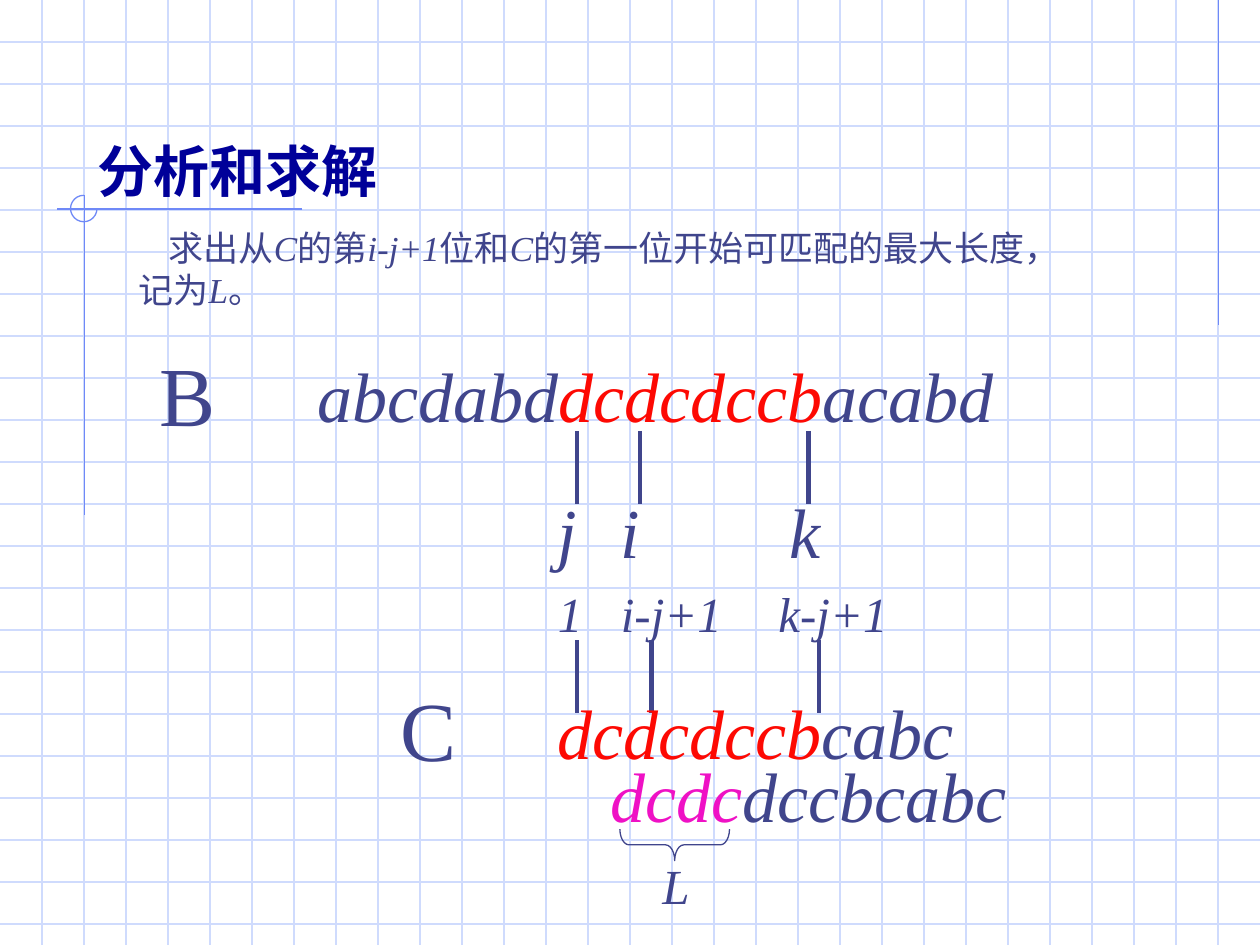
from lxml import etree
from pptx import Presentation
from pptx.dml.color import RGBColor
from pptx.enum.shapes import MSO_CONNECTOR, MSO_SHAPE
from pptx.enum.text import MSO_ANCHOR, PP_ALIGN
from pptx.oxml.ns import qn
from pptx.util import Inches, Pt

STRAIGHT = MSO_CONNECTOR.STRAIGHT
ARC, BRACE = MSO_SHAPE.ARC, MSO_SHAPE.LEFT_BRACE
TOP, BOTTOM, LEFT = MSO_ANCHOR.TOP, MSO_ANCHOR.BOTTOM, PP_ALIGN.LEFT
SERIF, SANS = "Times New Roman", "Lato"
INK, RED, PINK, NAVY = "40458C", "FD0903", "EF11C5", "000099"
GRID, RULE = "CFDBFD", "6F89F7"


def rgb(value):
    return RGBColor.from_string(value)


def add_line(s, x1, y1, x2, y2, color, width=0.75):
    line = s.shapes.add_connector(STRAIGHT, Inches(x1), Inches(y1), Inches(x2), Inches(y2))
    line.line.color.rgb = rgb(color)
    line.line.width = Pt(width)
    etree.SubElement(line._element.spPr, qn("a:effectLst"))


def add_outline(s, kind, x, y, w, h, color):
    sp = s.shapes.add_shape(kind, Inches(x), Inches(y), Inches(w), Inches(h))
    sp.shadow.inherit = False
    sp.fill.background()
    sp.line.color.rgb = rgb(color)
    sp.line.width = Pt(0.75)
    return sp


def add_run(p, text, size, color=INK, italic=False, bold=False, font=SERIF):
    r = p.add_run()
    r.text = text
    r.font.size = Pt(size)
    r.font.name = font
    r.font.italic = italic
    r.font.bold = bold
    r.font.color.rgb = rgb(color)
    etree.SubElement(r._r.get_or_add_rPr(), qn("a:ea")).set("typeface", SANS)


def add_text(s, x, y, w, h, size, runs):
    tf = s.shapes.add_textbox(Inches(x), Inches(y), Inches(w), Inches(h)).text_frame
    tf.word_wrap = True
    tf.vertical_anchor = TOP
    p = tf.paragraphs[0]
    for text, color, italic in runs:
        add_run(p, text, size, color, italic)
    return p


def add_background(s, w, h, step):
    for i in range(1, int(h / step) + 1):
        add_line(s, 0, i * step, w, i * step, GRID)
    for i in range(1, int(w / step)):
        add_line(s, i * step, 0, i * step, h, GRID)
    add_line(s, 9.67, 0, 9.67, 2.58, RULE)
    add_line(s, 2.4, 1.66, 0.45, 1.66, RULE)
    add_line(s, 0.67, 1.55, 0.67, 4.09, RULE)
    ring = add_outline(s, ARC, 0.56, 1.55, 0.21, 0.21, RULE)
    ring.adjustments[0] = 0
    ring.adjustments[1] = 162


def add_title(s, x, y, w, h):
    title = s.shapes.title
    title.left, title.top, title.width, title.height = map(Inches, (x, y, w, h))
    s.shapes._spTree.append(title._element)
    tf = title.text_frame
    tf.vertical_anchor = BOTTOM
    p = tf.paragraphs[0]
    p.alignment = LEFT
    add_run(p, "分析和求解", 32, NAVY, bold=True, font=SANS)


def add_statement(s, x, y, w, h):
    parts = ["求出从", "C", "的第", "i-j+1", "位和", "C",
             "的第一位开始可匹配的最大长度，记为", "L", "。"]
    runs = [(text, INK, i % 2 == 1) for i, text in enumerate(parts)]
    p = add_text(s, x, y, w, h, 20, runs)
    p._p.get_or_add_pPr().set("indent", str(Inches(0.24)))


def add_ticks(s, y, xs):
    for x in xs:
        add_line(s, x, y, x, y + 0.58, INK, 2.75)


def add_text_string(s, x, y):
    add_text(s, x, y, 1.08, 0.9, 48, [("B", INK, False)])
    add_text(s, x + 1.25, y + 0.08, 5.75, 0.77, 40,
             [("abcdabd", INK, True), ("dcdcdccb", RED, True), ("acabd", INK, True)])
    add_ticks(s, y + 0.75, (4.58, 5.08, 6.42))
    for label, left in (("j", 4.33), ("i", 4.83), ("k", 6.17)):
        add_text(s, left, y + 1.16, 0.5, 0.77, 40, [(label, INK, True)])


def add_pattern_string(s, x, y):
    for label, left, w in (("1", 4.33, 0.5), ("i-j+1", 4.83, 1.83), ("k-j+1", 6.08, 1.25)):
        add_text(s, left, y - 0.75, w, 0.57, 28, [(label, INK, True)])
    add_ticks(s, y - 0.25, (4.58, 5.17, 6.5))
    add_text(s, x, y, 1.08, 0.9, 48, [("C", INK, False)])
    add_text(s, x + 1.25, y + 0.09, 4.67, 0.77, 40,
             [("dcdcdccb", RED, True), ("cabc", INK, True)])


def add_shifted_match(s, x, y):
    add_text(s, x, y, 4.67, 0.77, 40, [("dcdc", PINK, True), ("dccbcabc", INK, True)])
    brace = add_outline(s, BRACE, x + 0.48, y + 0.35, 0.25, 0.87, INK)
    brace.rotation = 270
    brace.adjustments[0] = 0.29
    add_text(s, x + 0.41, y + 0.82, 0.5, 0.57, 28, [("L", INK, True)])


def main():
    prs = Presentation()
    prs.slide_width, prs.slide_height = Inches(10), Inches(7.5)
    s = prs.slides.add_slide(prs.slide_layouts[5])
    add_background(s, 10, 7.5, 1 / 3)
    add_title(s, 0.67, 0.42, 8.61, 1.25)
    add_statement(s, 1, 1.75, 7.75, 0.77)
    add_text_string(s, 1.17, 2.67)
    add_pattern_string(s, 3.08, 5.33)
    add_shifted_match(s, 4.75, 5.92)
    prs.save("out.pptx")


if __name__ == "__main__":
    main()
